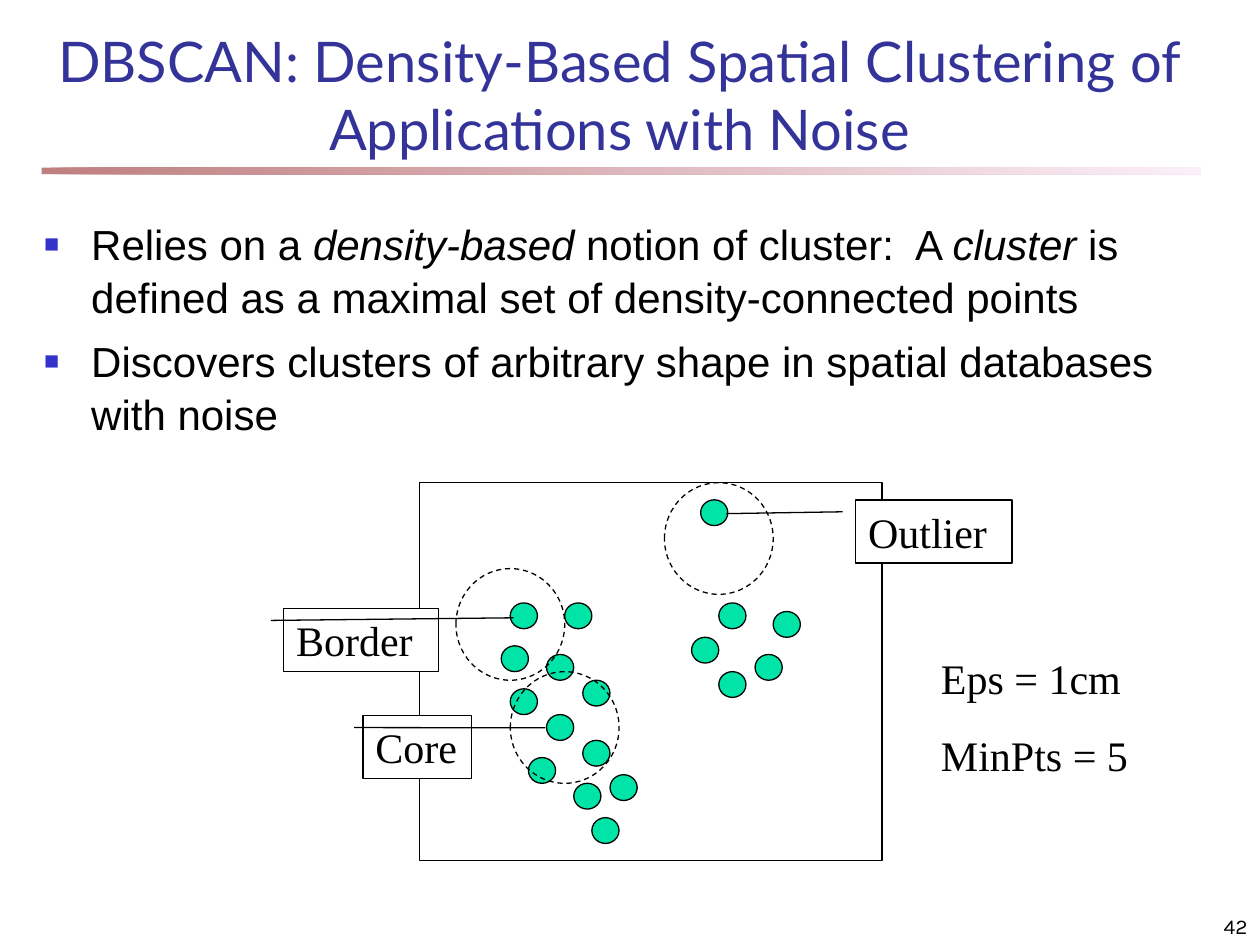
from typing import NamedTuple

from lxml import etree
from pptx import Presentation
from pptx.dml.color import RGBColor
from pptx.enum.dml import MSO_LINE
from pptx.enum.shapes import MSO_SHAPE
from pptx.enum.text import MSO_ANCHOR, MSO_AUTO_SIZE, PP_ALIGN
from pptx.oxml.ns import qn
from pptx.util import Cm, Pt

RECT, OVAL, CALLOUT = MSO_SHAPE.RECTANGLE, MSO_SHAPE.OVAL, MSO_SHAPE.LINE_CALLOUT_1
DASH = MSO_LINE.DASH
TOP, BOTTOM = MSO_ANCHOR.TOP, MSO_ANCHOR.BOTTOM
LEFT, CENTER, RIGHT = PP_ALIGN.LEFT, PP_ALIGN.CENTER, PP_ALIGN.RIGHT
NO_FIT = MSO_AUTO_SIZE.NONE
SERIF = "Times New Roman"
BLACK, WHITE, GREEN = "000000", "FFFFFF", "00E4A8"


class Box(NamedTuple):
    """Left, top, width and height in centimetres."""
    x: float
    y: float
    w: float
    h: float


class Note(NamedTuple):
    text: str
    box: Box
    tip: tuple[float, float]  # end of the leader: share of height, share of width


# The plot is a grid of 51 by 44 cells; points and circles sit on it.
PLOT = Box(8.46, 9.73, 9.32, 7.62)
COLS, ROWS = 51, 44
DOTS = [
    (10, 14), (9, 19), (14, 20), (16, 14), (18, 23), (10, 24), (14, 27), (12, 32),
    (17, 35), (19, 39), (18, 30), (21, 34),
    (31, 2), (33, 14), (30, 18), (37, 20), (39, 15), (33, 22),
]
RINGS = [(4, 10), (10, 22), (27, 0)]
NOTES = [
    Note("Core", Box(7.32, 14.43, 2.18, 1.27), (0.191, 1.687)),
    Note("Border", Box(5.72, 12.27, 3.12, 1.27), (0.146, 1.485)),
    Note("Outlier", Box(17.25, 10.08, 3.15, 1.27), (0.217, -0.828)),
]
POINTS = [
    "Relies on a *density-based* notion of cluster:  A *cluster* is defined as "
    "a maximal set of density-connected points",
    "Discovers clusters of arbitrary shape in spatial databases with noise",
]


def rgb(code: str) -> RGBColor:
    return RGBColor.from_string(code)


def place(box: Box) -> list:
    return [Cm(side) for side in box]


def cell(col: int, row: int, wide: int, high: int) -> Box:
    """Turn grid cells of the plot into centimetres."""
    dx, dy = PLOT.w / COLS, PLOT.h / ROWS
    return Box(PLOT.x + col * dx, PLOT.y + row * dy, wide * dx, high * dy)


def draw(slide, kind, box: Box, fill: str = "", dash=None):
    shape = slide.shapes.add_shape(kind, *place(box))
    shape.shadow.inherit = False
    if fill:
        shape.fill.solid()
        shape.fill.fore_color.rgb = rgb(fill)
    else:
        shape.fill.background()
    shape.line.color.rgb = rgb(BLACK)
    shape.line.width = Pt(0.75)
    if dash:
        shape.line.dash_style = dash
    return shape


def write(shape, lines: list[str], size: int, face: str, color: str = BLACK,
          align=LEFT, anchor=TOP, gap: int = 0) -> None:
    """Fill a shape with paragraphs; text between asterisks is italic."""
    frame = shape.text_frame
    frame.word_wrap = True
    frame.auto_size = NO_FIT
    frame.vertical_anchor = anchor
    for i, line in enumerate(lines):
        para = frame.add_paragraph() if i else frame.paragraphs[0]
        para.alignment = align
        para.space_before = Pt(gap if i else 0)
        for j, part in enumerate(line.split("*")):
            run = para.add_run()
            run.text = part
            font = run.font
            font.size, font.name, font.italic = Pt(size), face, j % 2 == 1
            font.color.rgb = rgb(color)


def add_text(slide, box: Box, lines: list[str], size: int, face: str, **style):
    shape = slide.shapes.add_textbox(*place(box))
    write(shape, lines, size, face, **style)
    return shape


def add_bullet(para) -> None:
    props = para._p.get_or_add_pPr()
    props.set("marL", str(Cm(0.95)))
    props.set("indent", str(Cm(-0.95)))
    tint = etree.SubElement(props, qn("a:buClr"))
    etree.SubElement(tint, qn("a:srgbClr"), val="3333CC")
    etree.SubElement(props, qn("a:buSzPct"), val="60000")
    etree.SubElement(props, qn("a:buFont"), typeface="Arial")
    etree.SubElement(props, qn("a:buChar"), char="■")


def add_rule(slide) -> None:
    """Draw the fading bar under the title."""
    bar = draw(slide, RECT, Box(0.84, 3.38, 23.37, 0.13))
    bar.line.fill.background()
    bar.fill.gradient()
    bar.fill.gradient_angle = 0
    for stop, (spot, code) in zip(bar.fill.gradient_stops, [(0, "800000"), (1, "FAE2F6")]):
        stop.position = spot
        stop.color.rgb = rgb(code)
    for tint in bar._element.spPr.iter(qn("a:srgbClr")):
        etree.SubElement(tint, qn("a:alpha"), val="50000")


def add_plot(slide) -> None:
    for col, row in DOTS:
        draw(slide, OVAL, cell(col, row, 3, 3), GREEN)
    draw(slide, RECT, PLOT)
    for col, row in RINGS:
        draw(slide, OVAL, cell(col, row, 12, 13), dash=DASH)
    for note in NOTES:
        shape = draw(slide, CALLOUT, note.box, WHITE)
        for i, value in enumerate((0.188, -0.083, *note.tip)):
            shape.adjustments[i] = value
        write(shape, [note.text], 24, SERIF)


def main() -> None:
    deck = Presentation()
    deck.slide_width, deck.slide_height = Cm(25.4), Cm(19.05)
    slide = deck.slides.add_slide(deck.slide_layouts[5])
    add_rule(slide)

    title = slide.shapes.title
    title.left, title.top, title.width, title.height = place(Box(0.64, 0.64, 23.7, 2.74))
    write(title, ["DBSCAN: Density-Based Spatial Clustering of Applications with Noise"],
          32, "Lato", "333399", CENTER, BOTTOM)

    body = add_text(slide, Box(0.64, 4.24, 23.7, 13.97), POINTS, 24, "Arial", gap=6)
    for para in body.text_frame.paragraphs:
        add_bullet(para)
        para.line_spacing = 1.05

    add_plot(slide)
    add_text(slide, Box(18.72, 13.03, 4.57, 2.82), ["Eps = 1cm", "MinPts = 5"],
             24, SERIF, gap=15)
    add_text(slide, Box(20.12, 17.98, 5.28, 1.07), ["42"], 12, "Karla",
             align=RIGHT, anchor=BOTTOM)
    deck.save("out.pptx")


if __name__ == "__main__":
    main()
